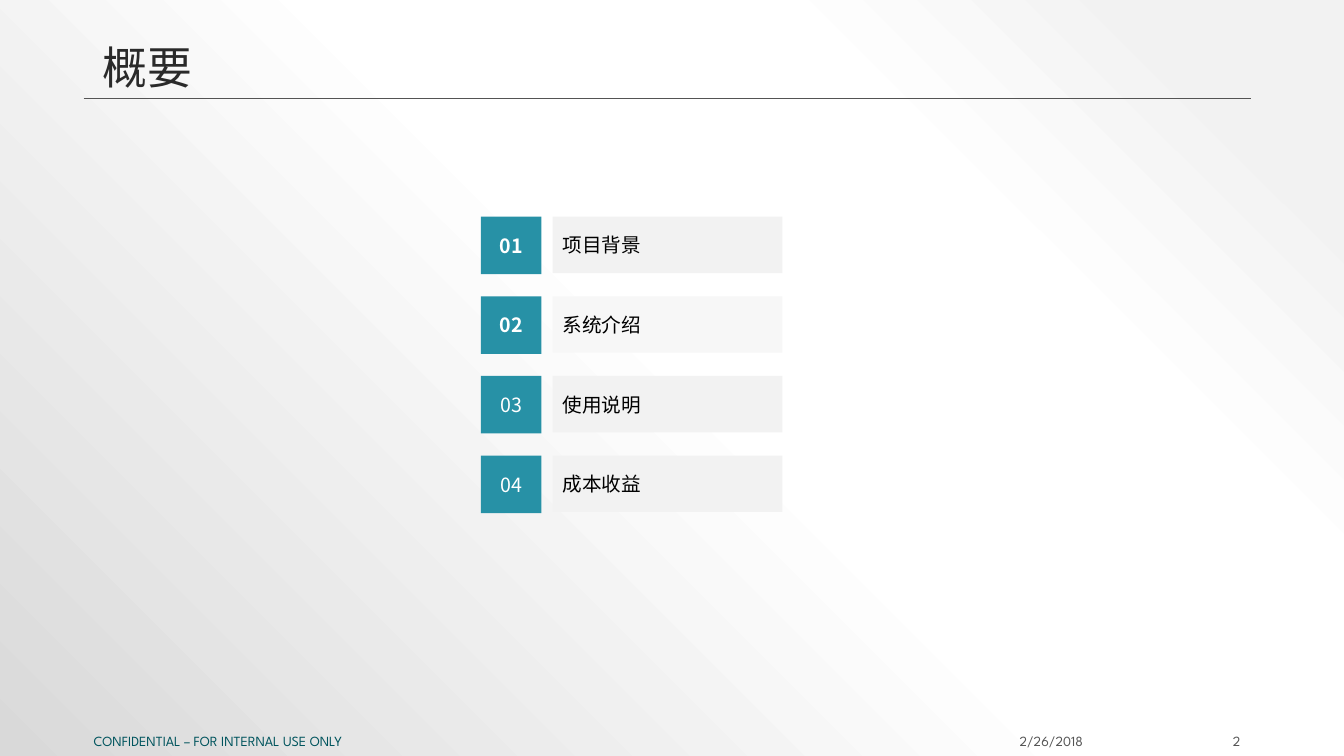
"""Build the overview slide with its numbered agenda."""
from dataclasses import dataclass

import lxml.etree
import pptx
import pptx.dml.color
import pptx.enum.shapes
import pptx.enum.text
import pptx.oxml
import pptx.oxml.ns
import pptx.util

Inches = pptx.util.Inches
ALIGN = pptx.enum.text.PP_ALIGN
ANCHOR = pptx.enum.text.MSO_ANCHOR
CJK = "Noto Sans CJK SC"
FOOTER = "League Spartan"


@dataclass
class Label:
    text: str
    left: float
    top: float
    width: float
    height: float
    size: float
    font: str
    color: str
    align: ALIGN = ALIGN.LEFT
    anchor: ANCHOR = ANCHOR.MIDDLE
    bold: bool = False
    wrap: bool = True
    spacing: float = 1.0
    fill: str = ""


@dataclass
class AgendaItem:
    number: str
    title: str
    bold: bool = False
    fill: str = "F2F2F2"


LABELS = [
    Label("概要", 0.92, 0.21, 11.5, 0.77, 32, "Calibri", "2A2A2A",
          anchor=ANCHOR.BOTTOM, spacing=0.9),
    Label("2/26/2018", 9.31, 7.25, 1.53, 0.2, 10, FOOTER, "545454", ALIGN.RIGHT),
    Label("2", 11.15, 7.25, 1.25, 0.2, 10, FOOTER, "545454", ALIGN.RIGHT),
    Label("CONFIDENTIAL – FOR INTERNAL USE ONLY", 0.83, 7.25, 8.3, 0.2, 10,
          FOOTER, "00545D"),
]
AGENDA = [
    AgendaItem("01", "项目背景", bold=True),
    AgendaItem("02", "系统介绍", bold=True, fill="F7F7F7"),
    AgendaItem("03", "使用说明"),
    AgendaItem("04", "成本收益"),
]
AGENDA_TOP, AGENDA_STEP = 2.15, 0.79
STOPS = [(10, "F2F2F2"), (28, "FFFFFF"), (48, "FFFFFF"), (100, "D9D9D9")]


def rgb(color: str) -> pptx.dml.color.RGBColor:
    return pptx.dml.color.RGBColor.from_string(color)


def set_background(s: pptx.slide.Slide) -> None:
    stops = "".join(
        f'<a:gs pos="{pos * 1000}"><a:srgbClr val="{color}"/></a:gs>'
        for pos, color in STOPS
    )
    bg = pptx.oxml.parse_xml(
        f'<p:bg {pptx.oxml.ns.nsdecls("p", "a")}><p:bgPr>'
        f'<a:gradFill rotWithShape="1"><a:gsLst>{stops}</a:gsLst>'
        '<a:path path="circle"><a:fillToRect l="100000" b="100000"/></a:path>'
        "</a:gradFill><a:effectLst/></p:bgPr></p:bg>"
    )
    s.element.cSld.insert(0, bg)


def add_rule(s: pptx.slide.Slide) -> None:
    line = s.shapes.add_connector(
        pptx.enum.shapes.MSO_CONNECTOR.STRAIGHT,
        Inches(0.83), Inches(0.98), Inches(12.41), Inches(0.98),
    )
    line.line.color.rgb = rgb("545454")
    line.line.width = pptx.util.Pt(0.5)
    lxml.etree.SubElement(line.element.spPr, pptx.oxml.ns.qn("a:effectLst"))


def add_label(s: pptx.slide.Slide, label: Label) -> None:
    box = [Inches(v) for v in (label.left, label.top, label.width, label.height)]
    if label.fill:
        sp = s.shapes.add_shape(pptx.enum.shapes.MSO_SHAPE.RECTANGLE, *box)
        sp.shadow.inherit = False
        sp.fill.solid()
        sp.fill.fore_color.rgb = rgb(label.fill)
        sp.line.fill.background()
    else:
        sp = s.shapes.add_textbox(*box)
    tf = sp.text_frame
    tf.word_wrap = label.wrap
    tf.vertical_anchor = label.anchor
    p = tf.paragraphs[0]
    p.alignment = label.align
    p.line_spacing = label.spacing
    r = p.add_run()
    r.text = label.text
    r.font.size = pptx.util.Pt(label.size)
    r.font.bold = label.bold
    r.font.color.rgb = rgb(label.color)
    r.font.name = label.font
    ea = lxml.etree.SubElement(r.font._element, pptx.oxml.ns.qn("a:ea"))
    ea.set("typeface", CJK)


def add_agenda(s: pptx.slide.Slide) -> None:
    for i, item in enumerate(AGENDA):
        top = AGENDA_TOP + i * AGENDA_STEP
        add_label(s, Label(item.title, 5.48, top, 2.28, 0.56, 14, CJK, "000000",
                           fill=item.fill))
        add_label(s, Label(item.number, 4.77, top, 0.6, 0.57, 14, CJK, "FFFFFF",
                           ALIGN.CENTER, bold=item.bold, wrap=False, fill="2791A6"))


def main() -> None:
    prs = pptx.Presentation()
    prs.slide_width, prs.slide_height = Inches(13.33), Inches(7.5)
    s = prs.slides.add_slide(prs.slide_layouts[6])
    set_background(s)
    add_rule(s)
    for label in LABELS:
        add_label(s, label)
    add_agenda(s)
    prs.save("out.pptx")


if __name__ == "__main__":
    main()
